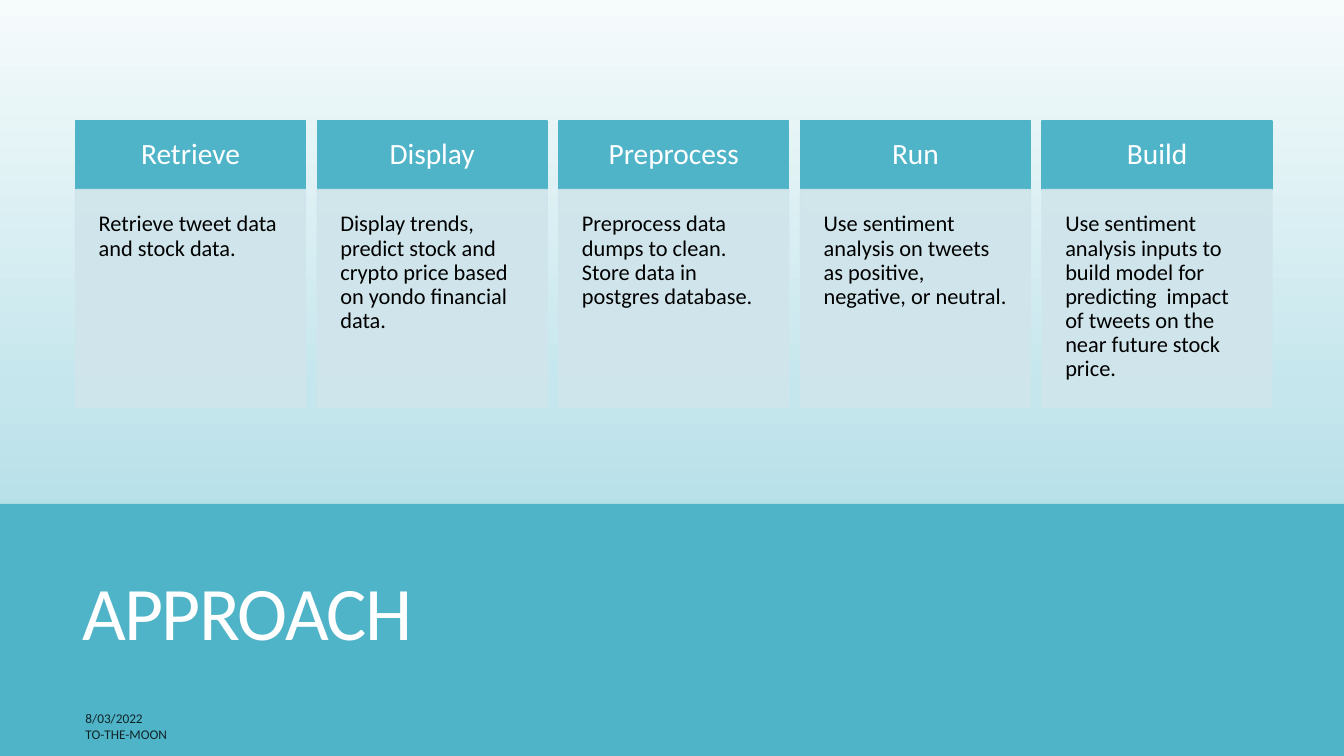
"""Build the Approach slide: five titled cards above a title band."""
from lxml.etree import SubElement
from pptx import Presentation
from pptx.dml.color import RGBColor
from pptx.enum.shapes import MSO_SHAPE as Kind
from pptx.enum.text import MSO_ANCHOR as Anchor, MSO_AUTO_SIZE as Fit, PP_ALIGN as Align
from pptx.oxml.ns import qn
from pptx.util import Pt

TEAL = RGBColor(0x50, 0xB4, 0xC8)
PALE = RGBColor(0xD0, 0xE5, 0xEB)
WHITE = RGBColor(0xFF, 0xFF, 0xFF)
BLACK = RGBColor(0, 0, 0)
SKY = [
    (0, RGBColor(0xF6, 0xFB, 0xFC)),
    (52, RGBColor(0xC5, 0xE6, 0xED)),
    (74, RGBColor(0xB0, 0xDD, 0xE6)),
    (83, RGBColor(0xB0, 0xDD, 0xE6)),
    (100, RGBColor(0xCB, 0xE8, 0xEE)),
]
CARDS = [
    ("Retrieve", "Retrieve tweet data and stock data."),
    ("Display", "Display trends, predict stock and crypto price based on yondo financial data."),
    ("Preprocess", "Preprocess data dumps to clean. Store data in postgres database."),
    ("Run", "Use sentiment analysis on tweets as positive, negative, or neutral."),
    ("Build", "Use sentiment analysis inputs to build model for predicting  impact "
              "of tweets on the near future stock price."),
]
WIDE, HIGH = 960, 540


class Deck:
    def __init__(self, font):
        self.font = font
        self.show = Presentation()
        self.show.slide_width, self.show.slide_height = Pt(WIDE), Pt(HIGH)
        self.slide = self.show.slides.add_slide(self.show.slide_layouts[5])

    def fade(self, fill, part):
        for tint in fill._xPr.iter(qn("a:srgbClr")):
            SubElement(tint, qn("a:alpha"), val=str(part * 1000))

    def sky(self, stops):
        fill = self.slide.background.fill
        fill.gradient()
        fill.gradient_angle = 270
        ramp = next(fill._xPr.iter(qn("a:gsLst")))
        ramp.clear()
        for spot, color in stops:
            stop = SubElement(ramp, qn("a:gs"), pos=str(spot * 1000))
            SubElement(stop, qn("a:srgbClr"), val=str(color))

    def label(self, shape, text, size, color, align=Align.LEFT, anchor=Anchor.MIDDLE,
              inset=None, lead=0.9):
        frame = shape.text_frame
        frame.word_wrap, frame.auto_size = True, Fit.NONE
        frame.vertical_anchor = anchor
        if inset is not None:
            frame.margin_left = frame.margin_right = Pt(inset)
            frame.margin_top = frame.margin_bottom = Pt(inset)
        para = frame.paragraphs[0]
        para.alignment, para.line_spacing = align, lead
        run = para.add_run()
        run.text = text
        run.font.name, run.font.size = self.font, Pt(size)
        run.font.color.rgb = color
        return run

    def block(self, left, top, width, height, color, alpha=100, edge=True):
        box = self.slide.shapes.add_shape(Kind.RECTANGLE, Pt(left), Pt(top), Pt(width), Pt(height))
        box.shadow.inherit = False
        fills = [box.fill]
        if edge:
            box.line.width = Pt(1)
            fills.append(box.line.fill)
        else:
            box.line.fill.background()
        for fill in fills:
            fill.solid()
            fill.fore_color.rgb = color
            if alpha < 100:
                self.fade(fill, alpha)
        return box

    def title(self, left, top, width, height, text):
        box = self.slide.shapes.title
        box.left, box.top, box.width, box.height = Pt(left), Pt(top), Pt(width), Pt(height)
        box.element.getparent().append(box.element)
        run = self.label(box, text, 54, WHITE, lead=0.85)
        run.font._element.set("spc", "-120")

    def note(self, left, top, width, height, text):
        box = self.slide.shapes.add_textbox(Pt(left), Pt(top), Pt(width), Pt(height))
        run = self.label(box, text, 9.5, BLACK)
        self.fade(run.font.fill, 80)
        box.text_frame.paragraphs[0].space_after = Pt(6)

    def card(self, left, top, width, head, body):
        cap = self.block(left, top, width, 49, TEAL)
        self.label(cap, head, 21, WHITE, Align.CENTER, inset=13)
        pane = self.block(left, top + 49, width, 155.5, PALE, 90)
        self.label(pane, body, 16, BLACK, anchor=Anchor.TOP, inset=16.5)


def main():
    deck = Deck("Calibri")
    deck.sky(SKY)
    deck.block(0, 360, WIDE, 180, TEAL, edge=False)
    deck.note(54, 504.7, 324, 18, "8/03/2022")
    deck.title(51.8, 375.8, 848.2, 130.3, "APPROACH")
    deck.note(54, 516.2, 396, 18, "TO-THE-MOON")
    for col, (head, body) in enumerate(CARDS):
        deck.card(54 + col * 172.6, 86.4, 164.2, head, body)
    deck.show.save("out.pptx")


if __name__ == "__main__":
    main()
